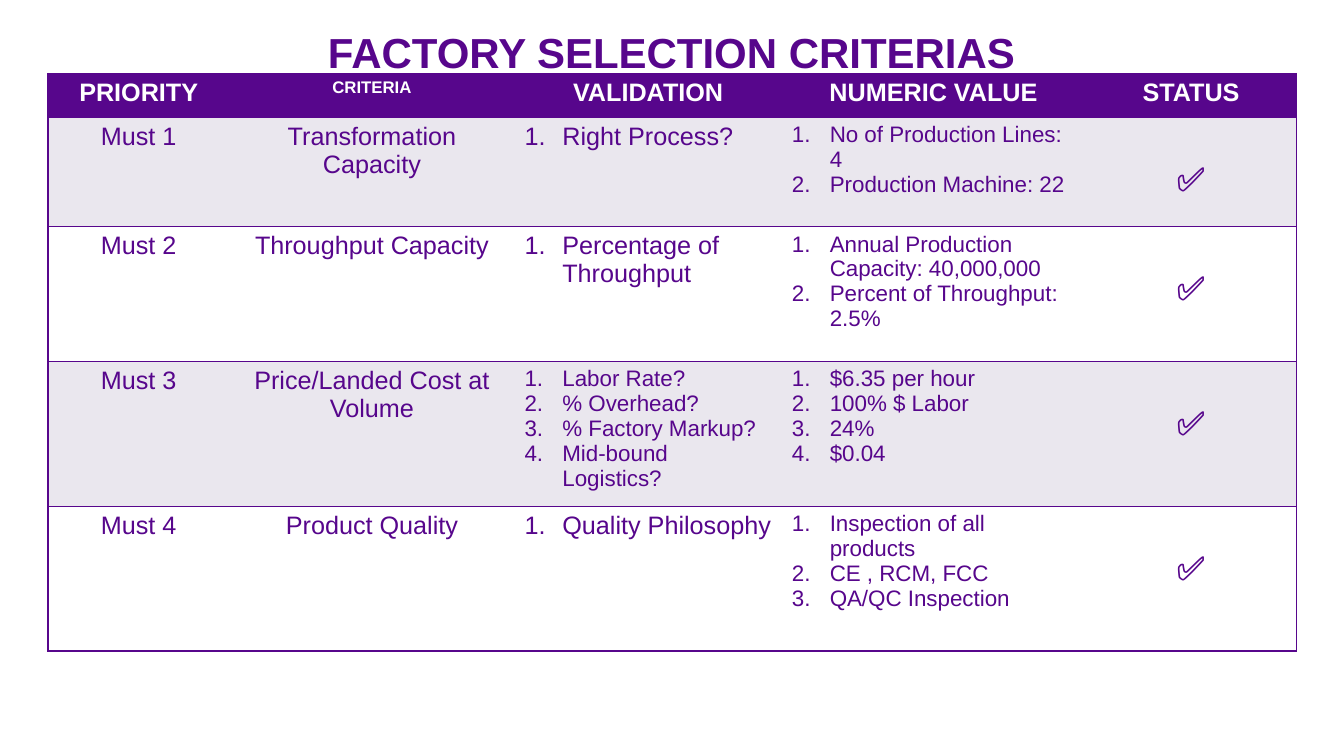
import lxml.etree
import pptx
import pptx.dml.color
import pptx.enum.text
import pptx.oxml.ns
import pptx.util

Pt = pptx.util.Pt
qn = pptx.oxml.ns.qn
ALIGN = pptx.enum.text.PP_ALIGN
PURPLE, WHITE, LILAC = "57068C", "FFFFFF", "EAE7EE"
COLUMN_WIDTHS = [129.6, 203.6, 191, 216.7, 151.2]
ROW_HEIGHTS = [31.7, 77.9, 96.4, 95.8, 103.4]
HEADERS = ["PRIORITY", "CRITERIA", "VALIDATION", "NUMERIC VALUE", "STATUS"]
HEADER_SIZES = [18, 12, 18, 18, 18]
CRITERIA = [
    ("Transformation Capacity", 18, ["Right Process?"],
     ["No of Production Lines: 4", "Production Machine: 22"]),
    ("Throughput Capacity", 18, ["Percentage of Throughput"],
     ["Annual Production Capacity: 40,000,000", "Percent of Throughput: 2.5%"]),
    ("Price/Landed Cost at Volume", 16,
     ["Labor Rate?", "% Overhead?", "% Factory Markup?", "Mid-bound Logistics?"],
     ["$6.35 per hour", "100% $ Labor", "24%", "$0.04"]),
    ("Product Quality", 18, ["Quality Philosophy"],
     ["Inspection of all products", "CE , RCM, FCC", "QA/QC Inspection"]),
]


def color(value):
    """Return the colour for a hex string."""
    return pptx.dml.color.RGBColor.from_string(value)


def style_font(paragraph, size, font_color, bold=False):
    """Set the paragraph's font."""
    font = paragraph.font
    font.name, font.size, font.bold = "Arial", Pt(size), bold
    font.color.rgb = color(font_color)


def add_numbering(paragraph):
    """Number the paragraph with a hanging indent."""
    properties = paragraph._p.get_or_add_pPr()
    properties.set("marL", str(Pt(27)))
    properties.set("indent", str(-Pt(27)))
    bullet_color = lxml.etree.SubElement(properties, qn("a:buClr"))
    lxml.etree.SubElement(bullet_color, qn("a:srgbClr"), val=PURPLE)
    lxml.etree.SubElement(properties, qn("a:buFont"), typeface="+mj-lt")
    lxml.etree.SubElement(properties, qn("a:buAutoNum"), type="arabicPeriod")


def set_borders(cell, visible_sides):
    """Draw the named sides in purple and hide the others."""
    properties = cell._tc.get_or_add_tcPr()
    for side in "LRTB":
        line = lxml.etree.SubElement(properties, qn(f"a:ln{side}"), w=str(Pt(1)))
        if side in visible_sides:
            fill = lxml.etree.SubElement(line, qn("a:solidFill"))
            lxml.etree.SubElement(fill, qn("a:srgbClr"), val=PURPLE)
        else:
            lxml.etree.SubElement(line, qn("a:noFill"))


def fill_cell(cell, lines, size, fill, font_color=PURPLE, bold=False, numbered=False):
    """Write centred or numbered lines in a filled cell."""
    cell.fill.solid()
    cell.fill.fore_color.rgb = color(fill)
    cell.text_frame.text = "\n".join(lines)
    for paragraph in cell.text_frame.paragraphs:
        if numbered:
            add_numbering(paragraph)
        else:
            paragraph.alignment = ALIGN.CENTER
        style_font(paragraph, size, font_color, bold)


def add_title(slide, text):
    """Add the slide's heading."""
    box = slide.shapes.add_textbox(Pt(209.5), Pt(12.2), Pt(540.7), Pt(46.1))
    frame = box.text_frame
    frame.word_wrap = True
    frame.vertical_anchor = pptx.enum.text.MSO_ANCHOR.BOTTOM
    paragraph = frame.paragraphs[0]
    paragraph.text = text
    paragraph.alignment = ALIGN.CENTER
    paragraph.line_spacing = 1.1
    style_font(paragraph, 30, PURPLE, bold=True)


def add_criteria_table(slide):
    """Add the table of selection criteria."""
    table = slide.shapes.add_table(
        len(ROW_HEIGHTS), len(COLUMN_WIDTHS), Pt(34.3), Pt(52.4),
        Pt(sum(COLUMN_WIDTHS)), Pt(sum(ROW_HEIGHTS))).table
    for column, width in zip(table.columns, COLUMN_WIDTHS):
        column.width = Pt(width)
    for row, height in zip(table.rows, ROW_HEIGHTS):
        row.height = Pt(height)
        for index, cell in enumerate(row.cells):
            outer_side = {0: "L", len(COLUMN_WIDTHS) - 1: "R"}.get(index, "")
            set_borders(cell, "TB" + outer_side)
    for index, (header, size) in enumerate(zip(HEADERS, HEADER_SIZES)):
        fill_cell(table.cell(0, index), [header], size, PURPLE, WHITE, bold=True)
    for number, (criterion, size, checks, values) in enumerate(CRITERIA, 1):
        priority, name, validation, numeric, status = table.rows[number].cells
        fill = LILAC if number % 2 else WHITE
        fill_cell(priority, [f"Must {number}"], 18, fill)
        fill_cell(name, [criterion], 18, fill)
        fill_cell(validation, checks, size, fill, numbered=True)
        fill_cell(numeric, values, 16, fill, numbered=True)
        fill_cell(status, ["✅"], 24, fill)
        status.margin_top = Pt(31.2)


def main():
    """Build and save the presentation."""
    presentation = pptx.Presentation()
    presentation.slide_width, presentation.slide_height = Pt(960), Pt(540)
    slide = presentation.slides.add_slide(presentation.slide_layouts[6])
    add_title(slide, "FACTORY SELECTION CRITERIAS")
    add_criteria_table(slide)
    presentation.save("out.pptx")


if __name__ == "__main__":
    main()
